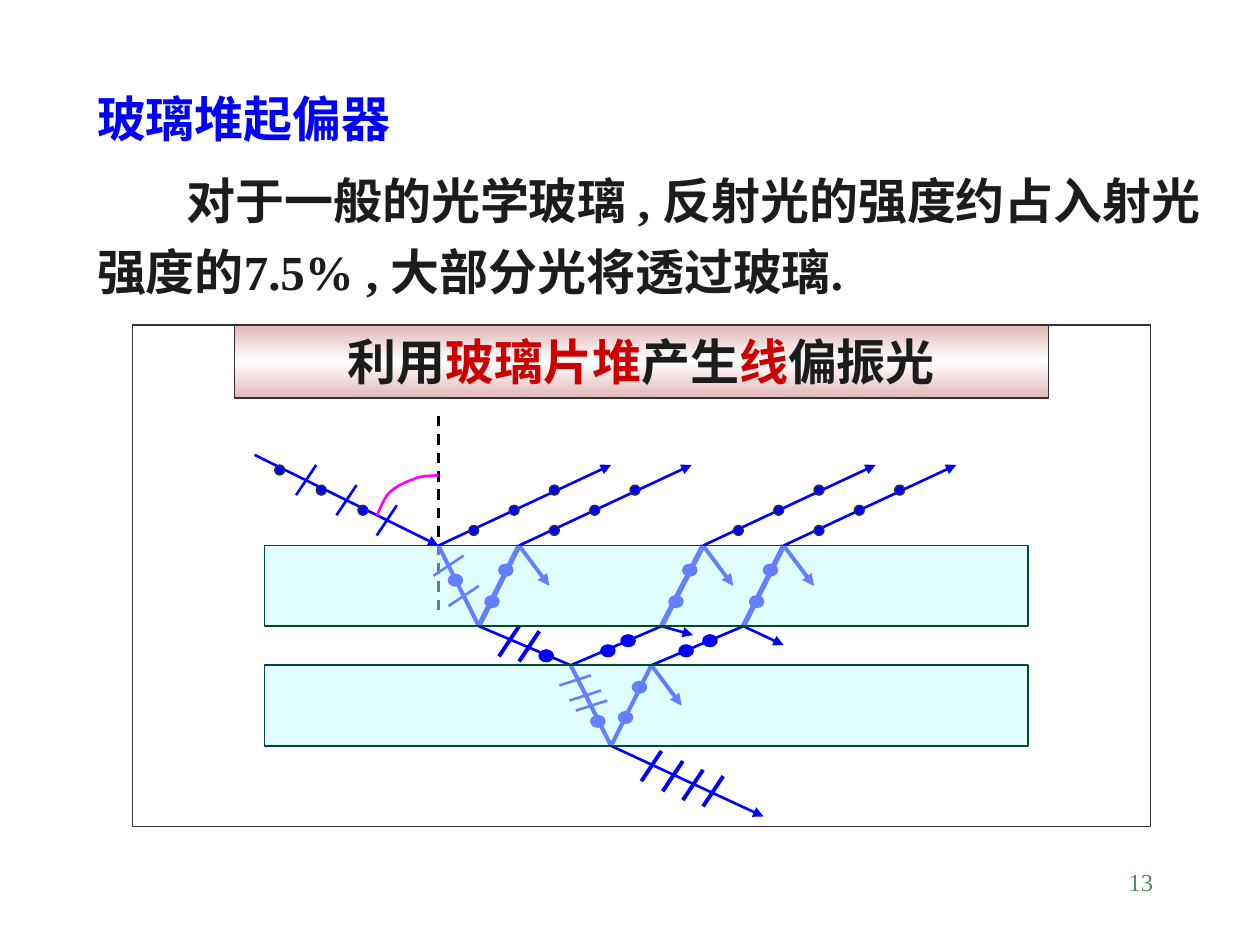
from copy import deepcopy
from typing import NamedTuple

from lxml.etree import SubElement
from pptx import Presentation
from pptx.dml.color import RGBColor
from pptx.enum.dml import MSO_LINE
from pptx.enum.shapes import MSO_CONNECTOR, MSO_SHAPE
from pptx.enum.text import MSO_ANCHOR, MSO_AUTO_SIZE, PP_ALIGN
from pptx.oxml.ns import qn
from pptx.util import Inches, Pt

BLUE = RGBColor(0x00, 0x00, 0xFF)
BLACK = RGBColor(0x00, 0x00, 0x00)
INK = RGBColor(0x1C, 0x1C, 0x1C)
RED = RGBColor(0xCC, 0x00, 0x00)
GRAY = RGBColor(0x33, 0x33, 0x33)
GREEN = RGBColor(0x57, 0x89, 0x63)
PINK = RGBColor(0xE1, 0xB7, 0xB7)
WHITE = RGBColor(0xFF, 0xFF, 0xFF)
GLASS = RGBColor(0xC5, 0xFF, 0xFF)
GLASS_EDGE = RGBColor(0x00, 0x4C, 0x2B)
MAGENTA = RGBColor(0xFF, 0x00, 0xFF)

TOP_1, BOTTOM_1 = 4.33, 4.97
TOP_2, BOTTOM_2 = 5.28, 5.92


class Ray(NamedTuple):
    x1: float
    y1: float
    x2: float
    y2: float
    width: float = 1.5
    arrow: bool = False


class DotStyle(NamedTuple):
    width: float
    height: float
    edge: RGBColor
    edge_width: float


AIR_DOT = DotStyle(0.08, 0.08, GRAY, 0.75)
GLASS_DOT = DotStyle(0.11, 0.09, BLUE, 1)

REFLECTED_X = [3.48, 4.12, 5.58, 6.22]
INNER_RAYS = [(3.8, 4.12), (5.25, 5.58), (5.9, 6.22)]

RAYS = [
    Ray(2.02, 3.61, 3.48, TOP_1, arrow=True),
    Ray(3.48, TOP_1, 3.8, BOTTOM_1, 2.35),
    Ray(3.8, BOTTOM_1, 4.53, TOP_2),
    Ray(4.53, TOP_2, 5.25, BOTTOM_1),
    Ray(5.17, TOP_2, 5.9, BOTTOM_1),
    Ray(4.53, TOP_2, 4.85, BOTTOM_2, 2.35),
    Ray(4.85, BOTTOM_2, 5.17, TOP_2, 2.35),
    Ray(5.25, BOTTOM_1, 5.5, 5.04, arrow=True),
    Ray(5.9, BOTTOM_1, 6.22, 5.12, arrow=True),
    Ray(4.85, BOTTOM_2, 6.06, 6.48, arrow=True),
]
RAYS += [Ray(x, TOP_1, x + 1.37, 3.69, arrow=True) for x in REFLECTED_X]
RAYS += [Ray(low, BOTTOM_1, high, TOP_1, 3) for low, high in INNER_RAYS]
RAYS += [Ray(x, y, x + 0.24, y + 0.32, 2.25, True)
         for x, y in [(4.12, TOP_1), (5.58, TOP_1), (6.22, TOP_1), (5.17, TOP_2)]]

# Short strokes marking vibration in the plane of incidence
INCIDENT_TICKS = [(2.51 + 0.32 * i, 3.69 + 0.16 * i) for i in range(3)]
OUTSIDE_TICKS = [(4.12, 4.97), (4.28, 5.01), (5.25, 5.96), (5.42, 6.04),
                 (5.58, 6.11), (5.74, 6.16)]
TICKS = [Ray(x, y, x - 0.16, y + 0.24) for x, y in INCIDENT_TICKS]
TICKS += [Ray(x, y, x - 0.16, y + 0.24, 2.25) for x, y in OUTSIDE_TICKS]
TICKS += [Ray(x, y, x - 0.24, y + 0.16) for x, y in [(3.68, 4.41), (3.8, 4.65)]]
TICKS += [Ray(x, y, x + 0.25, y - 0.08)
          for x, y in [(4.44, 5.44), (4.52, 5.56), (4.57, 5.64)]]

AIR_DOTS = [(2.18 + 0.33 * i, 3.69 + 0.16 * i) for i in range(3)]
AIR_DOTS += [(x + 0.24 + 0.32 * i, 4.17 - 0.16 * i)
             for x in REFLECTED_X for i in range(3)]
GLASS_DOTS = [(3.56, 4.56), (4.28, 5.16), (4.69, 5.68), (4.91, 5.65), (5.02, 5.41),
              (4.77, 5.12), (4.93, 5.04), (5.39, 5.12), (5.58, 5.04)]
GLASS_DOTS += [(high - dx, y) for _, high in INNER_RAYS
               for dx, y in [(0.16, 4.48), (0.27, 4.73)]]

ARC_CURVES = [
    [(2.99, 4.09), (3.01, 4.06), (3.04, 3.96), (3.09, 3.91)],
    [(3.09, 3.91), (3.14, 3.86), (3.23, 3.82), (3.29, 3.8)],
    [(3.29, 3.8), (3.35, 3.77), (3.44, 3.78), (3.48, 3.77)],
]


def draw_ray(slide, ray: Ray, color: RGBColor = BLUE):
    ends = [Inches(value) for value in ray[:4]]
    connector = slide.shapes.add_connector(MSO_CONNECTOR.STRAIGHT, *ends)
    connector.line.color.rgb = color
    connector.line.width = Pt(ray.width)
    properties = connector.element.spPr
    if ray.arrow:
        SubElement(properties.find(qn("a:ln")), qn("a:tailEnd"), type="triangle")
    SubElement(properties, qn("a:effectLst"))
    return connector


def draw_shape(slide, kind, box: tuple, edge: RGBColor, edge_width: float):
    shape = slide.shapes.add_shape(kind, *[Inches(value) for value in box])
    shape.shadow.inherit = False
    shape.fill.background()
    shape.line.color.rgb = edge
    shape.line.width = Pt(edge_width)
    return shape


def draw_dot(slide, x: float, y: float, style: DotStyle) -> None:
    dot = draw_shape(slide, MSO_SHAPE.OVAL, (x, y, style.width, style.height),
                     style.edge, style.edge_width)
    dot.fill.solid()
    dot.fill.fore_color.rgb = BLUE


def draw_glass(slide, top: float) -> None:
    glass = draw_shape(slide, MSO_SHAPE.RECTANGLE, (2.1, top, 6.06, 0.64), GLASS_EDGE, 1)
    glass.fill.solid()
    glass.fill.fore_color.rgb = GLASS
    color = glass.element.spPr.find(qn("a:solidFill"))[0]
    SubElement(color, qn("a:alpha"), val="50000")


def fill_banner(banner) -> None:
    banner.fill.gradient()
    banner.fill.gradient_angle = 90
    stops = banner.element.spPr.find(qn("a:gradFill")).find(qn("a:gsLst"))
    stops.insert(1, deepcopy(stops[0]))
    for stop, position, color in zip(banner.fill.gradient_stops, (0, 0.5, 1),
                                     (PINK, WHITE, PINK)):
        stop.position = position
        stop.color.rgb = color


def draw_arc(slide) -> None:
    points = []
    for a, b, c, d in ARC_CURVES:
        for t in [step / 8 for step in range(9)]:
            s = 1 - t
            points.append(tuple(
                Inches(s**3 * a[i] + 3 * s * s * t * b[i] + 3 * s * t * t * c[i] + t**3 * d[i])
                for i in (0, 1)))
    builder = slide.shapes.build_freeform(*points[0])
    builder.add_line_segments(points[1:], close=False)
    arc = builder.convert_to_shape()
    arc.shadow.inherit = False
    arc.fill.background()
    arc.line.color.rgb = MAGENTA
    arc.line.width = Pt(1.5)


def write_text(shape, runs: list, size: float = 28, bold: bool = True,
               alignment=PP_ALIGN.LEFT, line_spacing: float = 1.0) -> None:
    frame = shape.text_frame
    frame_format = {"word_wrap": True, "vertical_anchor": MSO_ANCHOR.TOP,
                    "auto_size": MSO_AUTO_SIZE.SHAPE_TO_FIT_TEXT}
    for name, value in frame_format.items():
        setattr(frame, name, value)
    paragraph = frame.paragraphs[0]
    paragraph_format = {"alignment": alignment, "line_spacing": line_spacing,
                        "space_before": Pt(0)}
    for name, value in paragraph_format.items():
        setattr(paragraph, name, value)
    for text, color in runs:
        run = paragraph.add_run()
        run.text = text
        for name, value in {"name": "Times New Roman", "size": Pt(size), "bold": bold}.items():
            setattr(run.font, name, value)
        run.font.color.rgb = color


def place(shape, box: tuple) -> None:
    for name, value in zip(("left", "top", "width", "height"), box):
        setattr(shape, name, Inches(value))


def main() -> None:
    presentation = Presentation()
    presentation.slide_width, presentation.slide_height = Inches(10), Inches(7.5)
    slide = presentation.slides.add_slide(presentation.slide_layouts[1])

    title, body = slide.placeholders
    place(title, (0.67, 0.56, 4.48, 0.61))
    write_text(title, [("玻璃堆起偏器", BLUE)], line_spacing=1.2)
    place(body, (0.67, 1.21, 9, 1.22))
    properties = body.text_frame.paragraphs[0]._p.get_or_add_pPr()
    properties.set("marL", "0")
    properties.set("indent", str(Inches(0.71)))
    SubElement(properties, qn("a:buNone"))
    write_text(body, [("对于一般的光学玻璃 , 反射光的强度约占入射光强度的7.5% , 大部分光将透过玻璃.", INK)],
               line_spacing=1.2)
    number = slide.shapes.add_textbox(*map(Inches, (7.17, 6.83, 2.08, 0.5)))
    write_text(number, [("13", GREEN)], 14, False, PP_ALIGN.RIGHT)

    draw_shape(slide, MSO_SHAPE.RECTANGLE, (1.05, 2.58, 8.08, 3.98), GRAY, 0.75)
    banner = draw_shape(slide, MSO_SHAPE.RECTANGLE, (1.86, 2.58, 6.46, 0.58), GRAY, 0.75)
    fill_banner(banner)
    write_text(banner, [("利用", INK), ("玻璃片堆", RED), ("产生", INK), ("线", RED),
                        ("偏振光", INK)], alignment=PP_ALIGN.CENTER)

    normal = draw_ray(slide, Ray(3.48, 3.3, 3.48, 4.89), BLACK)
    normal.line.dash_style = MSO_LINE.DASH
    for ray in RAYS + TICKS:
        draw_ray(slide, ray)
    for dots, style in ((AIR_DOTS, AIR_DOT), (GLASS_DOTS, GLASS_DOT)):
        for x, y in dots:
            draw_dot(slide, x, y, style)
    for top in (TOP_1, TOP_2):
        draw_glass(slide, top)
    draw_arc(slide)
    presentation.save("out.pptx")


if __name__ == "__main__":
    main()
